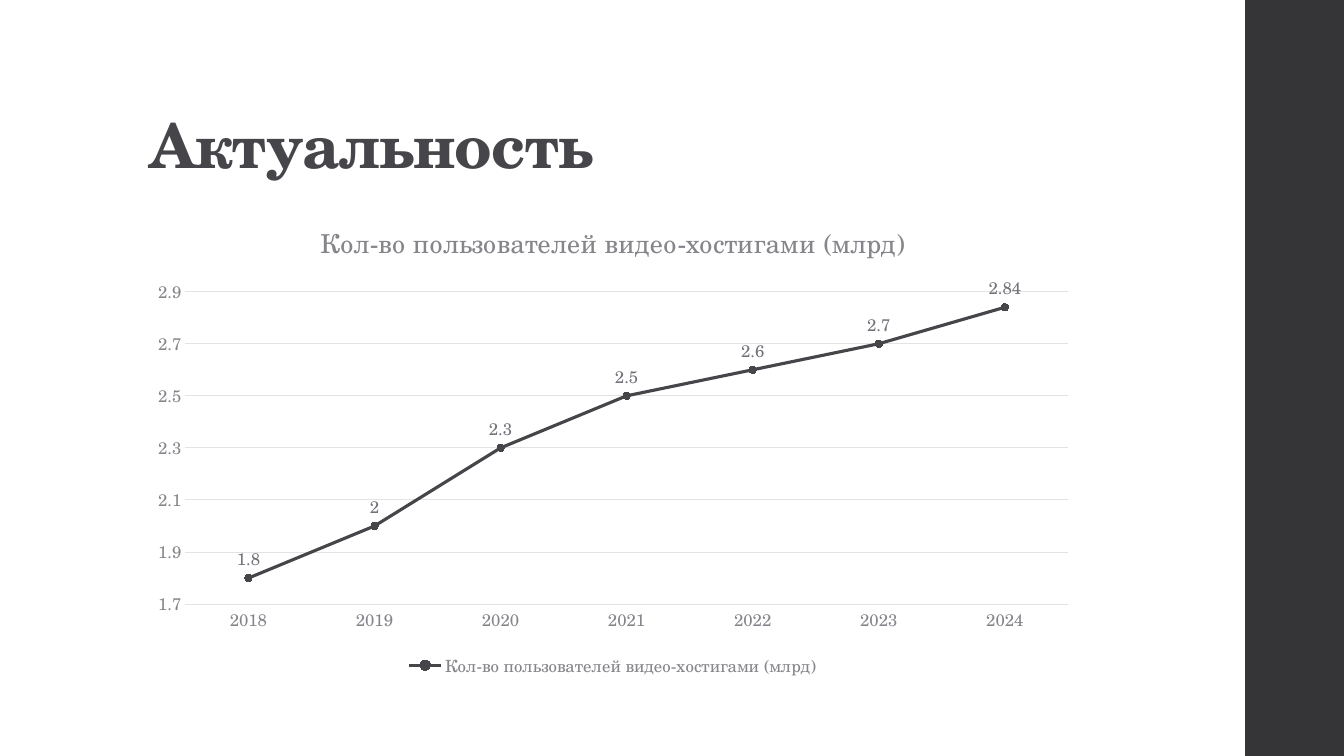
import pptx
import pptx.util
import pptx.dml.color
import pptx.chart.data
import pptx.enum.chart
import pptx.enum.shapes
import pptx.enum.text

Inches = pptx.util.Inches
Pt = pptx.util.Pt

FONT = "TeX Gyre Schola"
COLORS = {
    "background": "FFFFFF",
    "sidebar": "353537",
    "ink": "46464A",
    "muted": "85858B",
    "value": "727279",
    "grid": "E3E3E4",
}
SLIDE_WIDTH, SLIDE_HEIGHT = 13.33, 7.5
USERS_TITLE = "Кол-во пользователей видео-хостигами (млрд)"
USERS_BY_YEAR = {
    "2018": 1.8, "2019": 2, "2020": 2.3, "2021": 2.5,
    "2022": 2.6, "2023": 2.7, "2024": 2.84,
}


def color(name):
    return pptx.dml.color.RGBColor.from_string(COLORS[name])


def style_font(font, size, color_name, bold=False):
    font.name = FONT
    font.size = Pt(size)
    font.bold = bold
    font.color.rgb = color(color_name)


def style_line(line, color_name, width):
    line.color.rgb = color(color_name)
    line.width = Pt(width)


def add_sidebar(slide, left, top, width, height):
    sidebar = slide.shapes.add_shape(
        pptx.enum.shapes.MSO_SHAPE.RECTANGLE,
        Inches(left), Inches(top), Inches(width), Inches(height))
    sidebar.shadow.inherit = False
    sidebar.fill.solid()
    sidebar.fill.fore_color.rgb = color("sidebar")
    sidebar.line.fill.background()


def fill_heading(slide, left, top, width, height):
    heading = slide.shapes.title
    heading.left, heading.top = Inches(left), Inches(top)
    heading.width, heading.height = Inches(width), Inches(height)
    frame = heading.text_frame
    frame.word_wrap = True
    frame.auto_size = pptx.enum.text.MSO_AUTO_SIZE.NONE
    frame.vertical_anchor = pptx.enum.text.MSO_ANCHOR.BOTTOM
    paragraph = frame.paragraphs[0]
    paragraph.alignment = pptx.enum.text.PP_ALIGN.LEFT
    paragraph.line_spacing = 0.9
    run = paragraph.add_run()
    run.text = "Актуальность"
    style_font(run.font, 44, "ink", bold=True)
    run.font._element.set("spc", "-50")


def style_axes(chart):
    years, users = chart.category_axis, chart.value_axis
    for axis in (years, users):
        axis.major_tick_mark = pptx.enum.chart.XL_TICK_MARK.NONE
        axis.minor_tick_mark = pptx.enum.chart.XL_TICK_MARK.NONE
        style_font(axis.tick_labels.font, 12, "muted")
    style_line(years.format.line, "grid", 0.75)
    users.format.line.fill.background()
    users.minimum_scale, users.maximum_scale = 1.7, 2.9
    users.major_unit = 0.2
    users.has_major_gridlines = True
    style_line(users.major_gridlines.format.line, "grid", 0.75)


def style_users_series(series):
    series.smooth = False
    style_line(series.format.line, "ink", 2.25)
    marker = series.marker
    marker.style = pptx.enum.chart.XL_MARKER_STYLE.CIRCLE
    marker.size = 5
    marker.format.fill.solid()
    marker.format.fill.fore_color.rgb = color("ink")
    style_line(marker.format.line, "ink", 0.75)
    labels = series.data_labels
    labels.show_value = True
    labels.position = pptx.enum.chart.XL_LABEL_POSITION.ABOVE
    style_font(labels.font, 12, "value")


def add_users_chart(slide, left, top, width, height):
    data = pptx.chart.data.CategoryChartData()
    data.categories = list(USERS_BY_YEAR)
    data.add_series(USERS_TITLE, list(USERS_BY_YEAR.values()))
    chart = slide.shapes.add_chart(
        pptx.enum.chart.XL_CHART_TYPE.LINE_MARKERS_STACKED,
        Inches(left), Inches(top), Inches(width), Inches(height), data).chart
    style_font(chart.font, 10, "ink")

    # Chart title
    chart.has_title = True
    caption = chart.chart_title.text_frame.paragraphs[0].add_run()
    caption.text = USERS_TITLE
    style_font(caption.font, 18.6, "muted")
    chart.chart_title.include_in_layout = False

    # Legend
    chart.has_legend = True
    chart.legend.position = pptx.enum.chart.XL_LEGEND_POSITION.BOTTOM
    chart.legend.include_in_layout = False
    style_font(chart.legend.font, 12, "muted")

    # Axes and line
    style_axes(chart)
    chart.plots[0].vary_by_categories = False
    style_users_series(chart.plots[0].series[0])


def main():
    deck = pptx.Presentation()
    deck.slide_width = Inches(SLIDE_WIDTH)
    deck.slide_height = Inches(SLIDE_HEIGHT)
    slide = deck.slides.add_slide(deck.slide_layouts.get_by_name("Title Only"))
    slide.background.fill.solid()
    slide.background.fill.fore_color.rgb = color("background")

    add_sidebar(slide, 12.35, 0, SLIDE_WIDTH - 12.35, SLIDE_HEIGHT)
    fill_heading(slide, 1.38, 0.4, 10.6, 1.45)
    add_users_chart(slide, 1.38, 2, 9.4, 4.76)
    deck.save("out.pptx")


if __name__ == "__main__":
    main()
